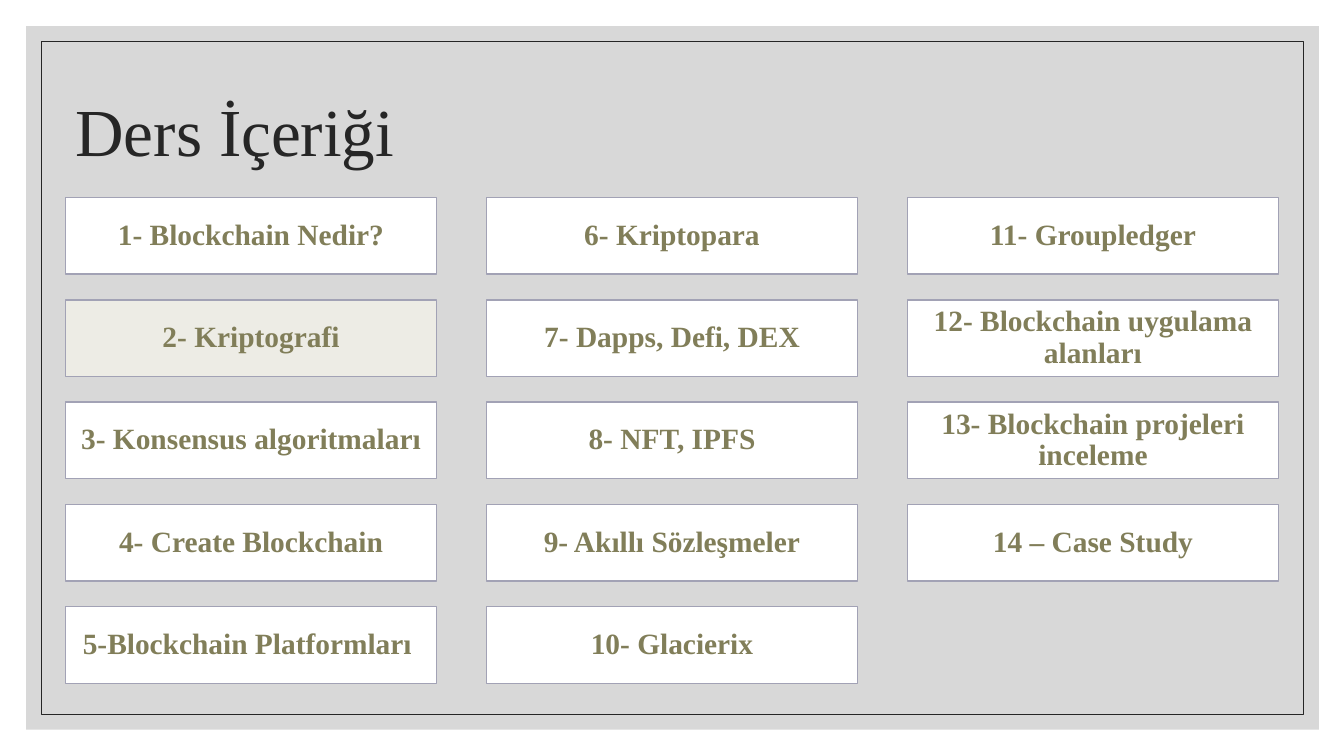
"""Build the course content slide: a framed title above a grid of topics."""
from dataclasses import dataclass

import lxml.etree
import pptx
import pptx.dml.color
import pptx.enum.shapes
import pptx.enum.text
import pptx.oxml.ns
import pptx.util

Inches = pptx.util.Inches
ALIGN = pptx.enum.text.PP_ALIGN

COLORS = {
    "panel": "BFBFBF",
    "ink": "262626",
    "card": "FFFFFF",
    "active": "EDECE5",
    "edge": "A2A2B5",
    "topic": "817E59",
}
FONT = "Times New Roman"
ROWS = 5
LEFT, TOP = 0.65, 1.96
STEP_X, STEP_Y = 4.175, 1.015
WIDTH, HEIGHT = 3.68, 0.76
ACTIVE = 1
TOPICS = [
    "1- Blockchain Nedir?",
    "2- Kriptografi",
    "3- Konsensus algoritmaları",
    "4- Create Blockchain",
    "5-Blockchain Platformları ",
    "6- Kriptopara",
    "7- Dapps, Defi, DEX",
    "8- NFT, IPFS",
    "9- Akıllı Sözleşmeler",
    "10- Glacierix",
    "11- Groupledger",
    "12- Blockchain uygulama alanları",
    "13- Blockchain projeleri inceleme",
    "14 – Case Study",
]


@dataclass
class Box:
    left: float
    top: float
    width: float
    height: float
    fill: str | None = None
    line: str | None = None
    weight: float = 1
    alpha: int = 100


def color(name: str) -> pptx.dml.color.RGBColor:
    return pptx.dml.color.RGBColor.from_string(COLORS[name])


def draw(slide, box: Box):
    shape = slide.shapes.add_shape(
        pptx.enum.shapes.MSO_SHAPE.RECTANGLE,
        Inches(box.left), Inches(box.top), Inches(box.width), Inches(box.height),
    )
    shape.shadow.inherit = False
    if box.fill:
        shape.fill.solid()
        shape.fill.fore_color.rgb = color(box.fill)
    else:
        shape.fill.background()
    if box.line:
        shape.line.color.rgb = color(box.line)
        shape.line.width = pptx.util.Pt(box.weight)
    else:
        shape.line.fill.background()
    if box.alpha < 100:
        tone = shape.fill._xPr.find(".//" + pptx.oxml.ns.qn("a:srgbClr"))
        lxml.etree.SubElement(tone, pptx.oxml.ns.qn("a:alpha"), val=str(box.alpha * 1000))
    return shape


def write(shape, text: str, *, size: float, tint: str, bold: bool = False,
          align=ALIGN.LEFT, inset: tuple[float, float] = (0.1, 0.05)) -> None:
    frame = shape.text_frame
    frame.word_wrap = True
    frame.vertical_anchor = pptx.enum.text.MSO_ANCHOR.MIDDLE
    frame.margin_left = frame.margin_right = Inches(inset[0])
    frame.margin_top = frame.margin_bottom = Inches(inset[1])
    para = frame.paragraphs[0]
    para.alignment = align
    para.line_spacing = 0.9
    run = para.add_run()
    run.text = text
    run.font.name = FONT
    run.font.size = pptx.util.Pt(size)
    run.font.bold = bold
    run.font.color.rgb = color(tint)


def main() -> None:
    deck = pptx.Presentation()
    deck.slide_width, deck.slide_height = Inches(13.33), Inches(7.5)
    slide = deck.slides.add_slide(deck.slide_layouts[6])

    draw(slide, Box(0.26, 0.26, 12.82, 6.98, fill="panel", alpha=60))
    draw(slide, Box(0.41, 0.41, 12.52, 6.68, line="ink", weight=0.5))

    title = slide.shapes.add_textbox(Inches(LEFT), Inches(0.59), Inches(11), Inches(1.5))
    write(title, "Ders İçeriği", size=48, tint="ink")

    for index, topic in enumerate(TOPICS):
        col, row = divmod(index, ROWS)
        fill = "active" if index == ACTIVE else "card"
        card = draw(slide, Box(LEFT + col * STEP_X, TOP + row * STEP_Y,
                               WIDTH, HEIGHT, fill=fill, line="edge"))
        write(card, topic, size=21, tint="topic", bold=True,
              align=ALIGN.CENTER, inset=(0.08, 0.09))

    deck.save("out.pptx")


if __name__ == "__main__":
    main()
